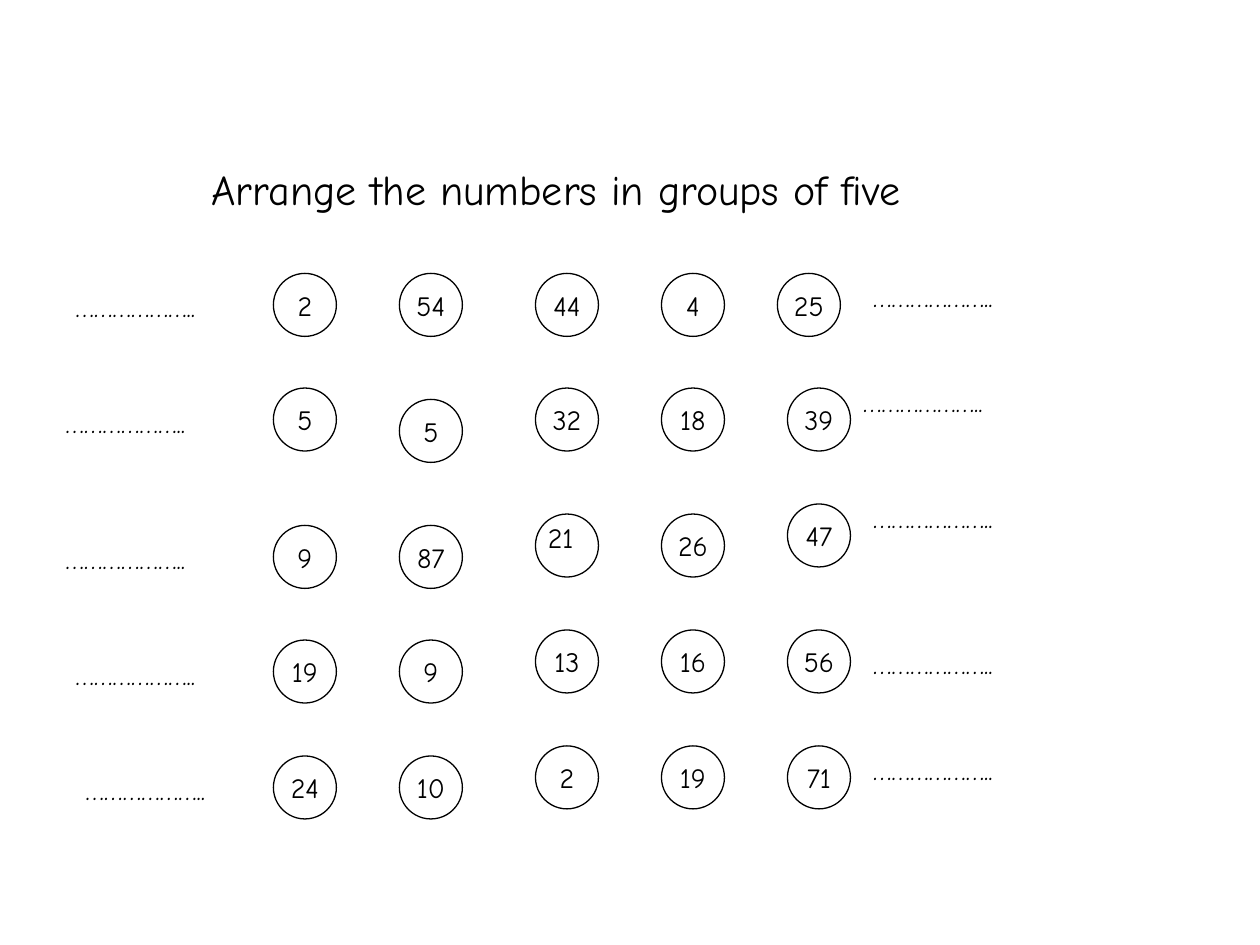
from pptx import Presentation
from pptx.dml.color import RGBColor as RGB
from pptx.enum.shapes import MSO_SHAPE as SHAPE
from pptx.enum.text import MSO_ANCHOR as ANCHOR, MSO_AUTO_SIZE as FIT, PP_ALIGN as ALIGN
from pptx.util import Inches, Pt

COLORS = {"ink": "000000", "paper": "FFFFFF"}
FONT = "Comic Neue"
SIZE = 0.5
DOTS = "……………….."

# Each column: left edge, tops from first row to last, numbers
COLUMNS = [
    (2.17, [2.17, 3.08, 4.17, 5.08, 6], [2, 5, 9, 19, 24]),
    (3.17, [2.17, 3.17, 4.17, 5.08, 6], [54, 5, 87, 9, 10]),
    (4.25, [2.17, 3.08, 4.08, 5, 5.92], [44, 32, "", 13, 2]),
    (5.25, [2.17, 3.08, 4.08, 5, 5.92], [4, 18, 26, 16, 19]),
    (6.25, [2.17, 3.08, 4, 5, 5.92], [25, 39, 47, 56, 71]),
]
SHIFTS = {25: -0.08}
BLANKS = [
    (0.5, 2.25), (0.42, 3.17), (0.42, 4.25), (0.5, 5.17), (0.58, 6.08),
    (6.83, 2.17), (6.75, 3), (6.83, 3.92), (6.83, 5.08), (6.83, 5.92),
]


class Sheet:
    def __init__(self, slide):
        self.slide = slide
        self.colors = {name: RGB.from_string(code) for name, code in COLORS.items()}

    def letter(self, frame, text, size=16, align=ALIGN.LEFT, **form):
        """Put one styled line of text into a frame."""
        for key, value in form.items():
            setattr(frame, key, value)
        para = frame.paragraphs[0]
        para.alignment = align
        run = para.add_run()
        run.text = str(text)
        for key, value in {"name": FONT, "size": Pt(size)}.items():
            setattr(run.font, key, value)
        run.font.color.rgb = self.colors["ink"]

    def circle(self, x, y, text):
        shape = self.slide.shapes.add_shape(
            SHAPE.OVAL, Inches(x), Inches(y), Inches(SIZE), Inches(SIZE))
        shape.shadow.inherit = False
        shape.fill.solid()
        shape.fill.fore_color.rgb = self.colors["paper"]
        shape.line.color.rgb = self.colors["ink"]
        shape.line.width = Pt(0.75)
        if text != "":
            self.letter(shape.text_frame, text, align=ALIGN.CENTER,
                        word_wrap=False, vertical_anchor=ANCHOR.MIDDLE)

    def label(self, x, y, width, height, text, size=16, wrap=True):
        box = self.slide.shapes.add_textbox(
            Inches(x), Inches(y), Inches(width), Inches(height))
        self.letter(box.text_frame, text, size, word_wrap=wrap,
                    auto_size=FIT.SHAPE_TO_FIT_TEXT)


def main():
    deck = Presentation()
    deck.slide_width, deck.slide_height = Inches(10), Inches(7.5)
    sheet = Sheet(deck.slides.add_slide(deck.slide_layouts[6]))

    for x, tops, numbers in COLUMNS:
        for y, number in zip(tops, numbers):
            sheet.circle(x + SHIFTS.get(number, 0), y, number)
    for x, y in BLANKS:
        sheet.label(x, y, 1.58, 0.4, DOTS)
    sheet.label(4.25, 4.08, 0.48, 0.4, "21", wrap=False)
    sheet.label(1.58, 1.25, 6.58, 0.5, "Arrange the numbers in groups of five", 24)

    deck.save("out.pptx")


if __name__ == "__main__":
    main()
